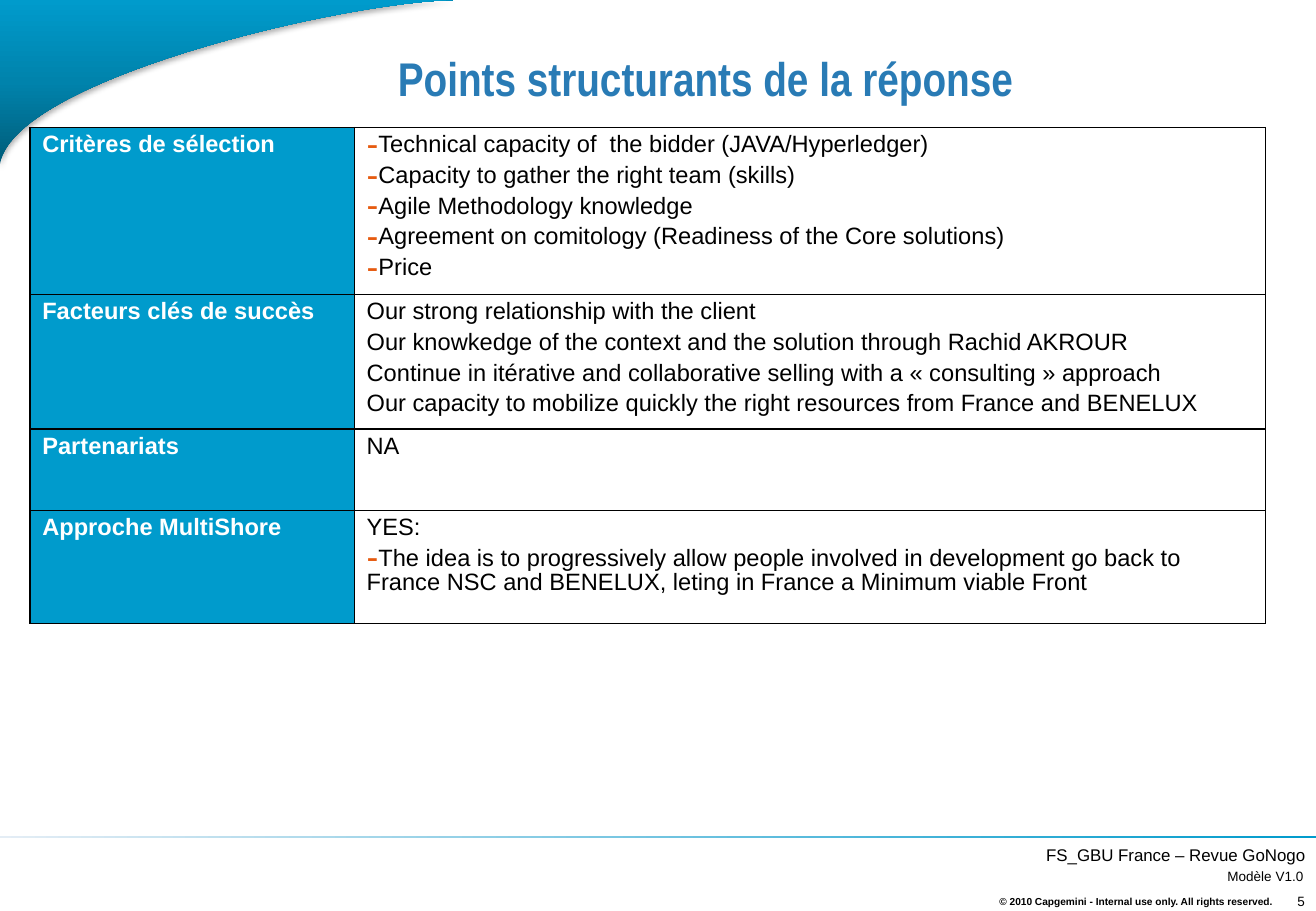
from dataclasses import dataclass

from lxml import etree
from pptx import Presentation
from pptx.dml.color import RGBColor
from pptx.enum.shapes import MSO_SHAPE
from pptx.enum.text import MSO_ANCHOR, PP_ALIGN
from pptx.oxml.ns import qn
from pptx.util import Cm, Pt

RECT = MSO_SHAPE.RECTANGLE
MIDDLE = MSO_ANCHOR.MIDDLE
CENTER, RIGHT = PP_ALIGN.CENTER, PP_ALIGN.RIGHT


@dataclass(frozen=True)
class Theme:
    font: str = "Arial"
    head: str = "Arial Narrow"
    blue: str = "009BCC"
    mid: str = "0083AC"
    deep: str = "005C79"
    pale: str = "E4EDF5"
    title: str = "297BB5"
    dash: str = "E65A0F"
    black: str = "000000"
    white: str = "FFFFFF"
    big: int = 28
    body: int = 14
    note: int = 10
    small: int = 8
    tiny: int = 6


THEME = Theme()

ROWS = [
    (3.35, "Critères de sélection", [
        "- Technical capacity of  the bidder (JAVA/Hyperledger)",
        "- Capacity to gather the right team (skills)",
        "- Agile Methodology knowledge",
        "- Agreement on comitology (Readiness of the Core solutions)",
        "- Price",
    ]),
    (2.7, "Facteurs clés de succès", [
        "Our strong relationship with the client",
        "Our knowkedge of the context and the solution through Rachid AKROUR",
        "Continue in itérative and collaborative selling with a « consulting » approach",
        "Our capacity to mobilize quickly the right resources from France and BENELUX",
    ]),
    (1.7, "Partenariats", ["NA"]),
    (2.36, "Approche MultiShore", [
        "YES:",
        "- The idea is to progressively allow people involved in development "
        "go back to France NSC and BENELUX, leting in France a Minimum viable Front",
    ]),
]

LABELS = [
    ("FS_GBU France – Revue GoNogo", 27.28, 17.87, THEME.note, False),
    ("Modèle V1.0", 27.25, 18.33, THEME.small, False),
    ("5", 27.28, 18.85, THEME.small, False),
    ("© 2010 Capgemini - Internal use only. All rights reserved.",
     26.6, 18.85, THEME.tiny, True),
]


def node(parent, tag, **attrs):
    return etree.SubElement(parent, qn(tag), attrs)


def style(para, size, color, bold=False, name=THEME.font):
    font = para.font
    font.name, font.size, font.bold = name, Pt(size), bold
    font.color.rgb = RGBColor.from_string(color)


def shade(shape, colors, angle):
    shape.shadow.inherit = False
    shape.line.fill.background()
    shape.fill.gradient()
    shape.fill.gradient_angle = angle
    stops = next(shape._element.spPr.iter(qn("a:gsLst")))
    for stop in list(stops):
        stops.remove(stop)
    for i, color in enumerate(colors):
        stop = node(stops, "a:gs", pos=str(100000 * i // (len(colors) - 1)))
        node(stop, "a:srgbClr", val=color)


def add_swoosh(slide):
    wide, high, steps = 9.58, 3.43, 60
    points = []
    for i in range(steps + 1):
        t = i / steps
        u = 1 - t
        x = 3 * u * u * t * 0.3 + 3 * u * t * t * 7.35 + t ** 3 * wide
        y = u ** 3 * high + 3 * u * u * t * 1.63
        points.append((Cm(x), Cm(y)))
    path = slide.shapes.build_freeform(0, 0)
    path.add_line_segments(points, close=True)
    shape = path.convert_to_shape()
    shade(shape, [THEME.deep, THEME.mid, THEME.blue], 90)
    effects = shape._element.spPr.find(qn("a:effectLst"))
    shadow = node(effects, "a:outerShdw", blurRad=str(Pt(3.5)),
                  dist=str(Pt(2.2)), dir="5400000", rotWithShape="0")
    color = node(shadow, "a:srgbClr", val=THEME.black)
    node(color, "a:alpha", val="32000")


def add_rule(slide, wide):
    bar = slide.shapes.add_shape(RECT, 0, Cm(17.48), wide, Cm(0.05))
    shade(bar, [THEME.pale, THEME.blue], 0)


def add_label(slide, text, right, mid, size, bold):
    wide, high = 8, 0.5
    box = slide.shapes.add_textbox(
        Cm(right - wide), Cm(mid - high / 2), Cm(wide), Cm(high))
    frame = box.text_frame
    frame.word_wrap = True
    frame.vertical_anchor = MIDDLE
    frame.margin_left = frame.margin_right = 0
    frame.margin_top = frame.margin_bottom = 0
    para = frame.paragraphs[0]
    para.text = text
    para.alignment = RIGHT
    style(para, size, THEME.black, bold)


def set_title(slide, text):
    title = slide.shapes.title
    title.left, title.top = Cm(1.98), Cm(0.95)
    title.width, title.height = Cm(25.53), Cm(1.5)
    frame = title.text_frame
    frame.vertical_anchor = MIDDLE
    para = frame.paragraphs[0]
    para.text = text
    para.alignment = CENTER
    para.line_spacing = 0.9
    style(para, THEME.big, THEME.title, True, THEME.head)


def add_dash(para):
    props = para._p.get_or_add_pPr()
    props.set("marL", "0")
    props.set("indent", "0")
    node(node(props, "a:buClr"), "a:srgbClr", val=THEME.dash)
    node(props, "a:buSzPct", val="150000")
    node(props, "a:buFont", typeface=THEME.font)
    node(props, "a:buChar", char="-")


def fill_cell(cell, lines, back, color, bold):
    props = cell._tc.get_or_add_tcPr()
    for side in ("a:lnL", "a:lnR", "a:lnT", "a:lnB"):
        line = node(props, side, w=str(Pt(1)))
        node(node(line, "a:solidFill"), "a:srgbClr", val=THEME.black)
    cell.fill.solid()
    cell.fill.fore_color.rgb = RGBColor.from_string(back)
    frame = cell.text_frame
    for i, text in enumerate(lines):
        para = frame.add_paragraph() if i else frame.paragraphs[0]
        para.text = text.removeprefix("- ")
        para.line_spacing = 0.9
        if i:
            para.space_before = Pt(4)
        if text.startswith("- "):
            add_dash(para)
        style(para, THEME.body, color, bold)


def add_grid(slide):
    cols = (6.78, 19.05)
    high = sum(row[0] for row in ROWS)
    table = slide.shapes.add_table(
        len(ROWS), len(cols), Cm(0.63), Cm(2.67), Cm(sum(cols)), Cm(high)).table
    table.first_row = table.horz_banding = False
    for col, wide in zip(table.columns, cols):
        col.width = Cm(wide)
    for row, (tall, head, lines) in zip(table.rows, ROWS):
        row.height = Cm(tall)
        fill_cell(row.cells[0], [head], THEME.blue, THEME.white, True)
        fill_cell(row.cells[1], lines, THEME.white, THEME.black, False)


def main():
    deck = Presentation()
    deck.slide_width, deck.slide_height = Cm(27.51), Cm(19.05)
    slide = deck.slides.add_slide(deck.slide_layouts[5])
    add_rule(slide, deck.slide_width)
    add_swoosh(slide)
    for label in LABELS:
        add_label(slide, *label)
    set_title(slide, "Points structurants de la réponse")
    add_grid(slide)
    deck.save("out.pptx")


if __name__ == "__main__":
    main()
